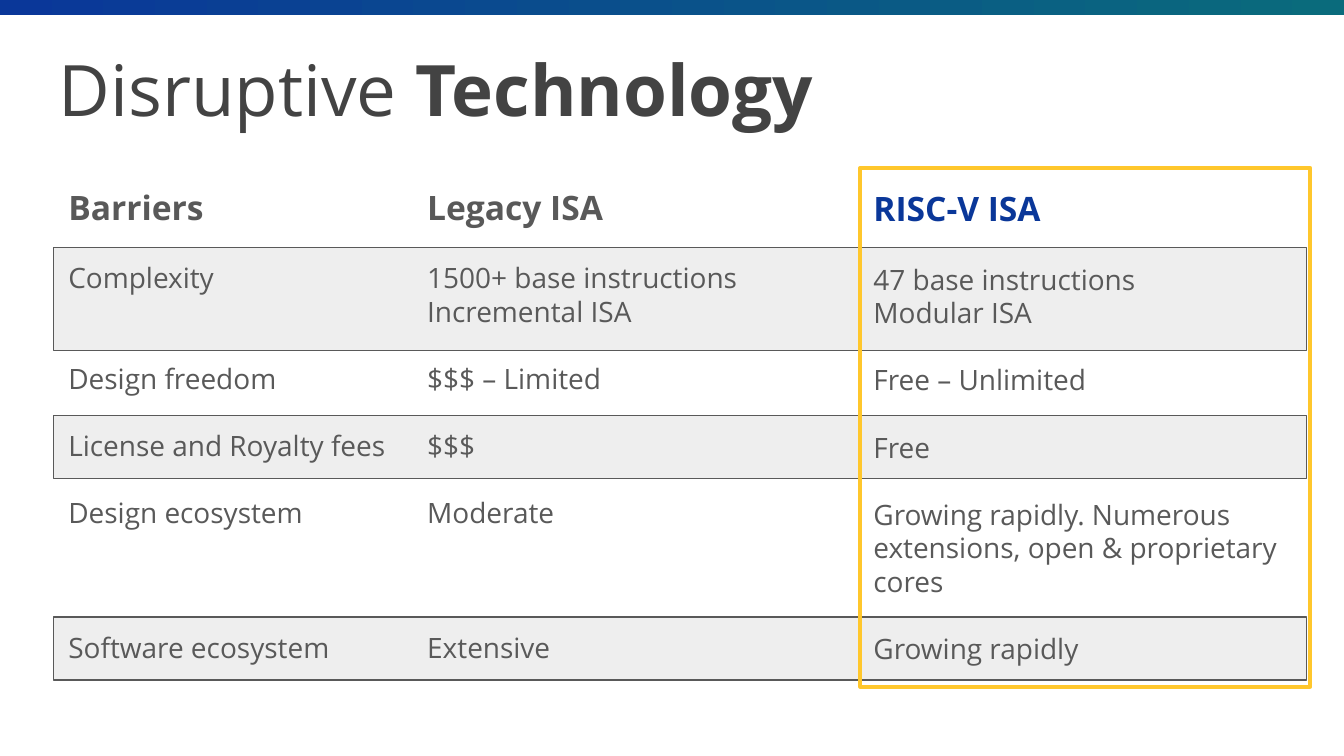
from pptx import Presentation
from pptx import util as u
from pptx.dml.color import RGBColor
from pptx.enum import shapes, text

FONT = "Open Sans"
GREY = RGBColor(0x59, 0x59, 0x59)
DARK = RGBColor(0x43, 0x43, 0x43)
BAND = RGBColor(0xEE, 0xEE, 0xEE)
BLUE = RGBColor(0x0A, 0x37, 0x99)
TEAL = RGBColor(0x0A, 0x6B, 0x7C)
GOLD = RGBColor(0xFF, 0xC7, 0x2C)

WIDTH = 10
LINE_PT = 18      # height of one body line
ROW_LINES = [2, 1, 1, 3, 1]
BANDS = [(4.59, 0.47), (3.09, 0.47), (1.84, 0.77)]  # top, height

# left, top, width, height, header colour, header, cells with their line counts
COLUMNS = [
    (0.41, 1.29, 2.95, 3.64, GREY, "Barriers",
     [("Complexity", 1), ("Design freedom", 1), ("License and Royalty fees", 1),
      ("Design ecosystem", 1), ("Software ecosystem", 1)]),
    (3.08, 1.29, 2.95, 3.64, GREY, "Legacy ISA",
     [("1500+ base instructions\nIncremental ISA", 2), ("$$$ – Limited", 1),
      ("$$$", 1), ("Moderate", 1), ("Extensive", 1)]),
    (6.4, 1.3, 3.35, 3.75, BLUE, "RISC-V ISA",
     [("47 base instructions\nModular ISA", 2), ("Free – Unlimited", 1),
      ("Free", 1),
      ("Growing rapidly. Numerous extensions, open & proprietary cores", 3),
      ("Growing rapidly", 1)]),
]


def add_rect(s, left, top, width, height, fill=None, line=None, weight=0.75):
    sp = s.shapes.add_shape(shapes.MSO_SHAPE.RECTANGLE, u.Inches(left),
                            u.Inches(top), u.Inches(width), u.Inches(height))
    sp.shadow.inherit = False
    if fill is None:
        sp.fill.background()
    else:
        sp.fill.solid()
        sp.fill.fore_color.rgb = fill
    if line is None:
        sp.line.fill.background()
    else:
        sp.line.color.rgb = line
        sp.line.width = u.Pt(weight)
    return sp


def add_box(s, left, top, width, height):
    sp = s.shapes.add_textbox(u.Inches(left), u.Inches(top),
                              u.Inches(width), u.Inches(height))
    tf = sp.text_frame
    tf.word_wrap = True
    tf.vertical_anchor = text.MSO_ANCHOR.TOP
    tf.margin_left = tf.margin_right = u.Inches(0.1)
    tf.margin_top = tf.margin_bottom = u.Inches(0.1)
    return tf


def add_text(p, content, size=15, color=GREY, bold=False):
    for i, part in enumerate(content.split("\n")):
        if i:
            p.add_line_break()
        r = p.add_run()
        r.text = part
        r.font.name = FONT
        r.font.size = u.Pt(size)
        r.font.bold = bold
        r.font.color.rgb = color


def add_top_bar(s):
    sp = add_rect(s, 0, 0, WIDTH, 0.11)
    sp.fill.gradient()
    sp.fill.gradient_angle = 0
    for stop, color in zip(sp.fill.gradient_stops, (BLUE, TEAL)):
        stop.color.rgb = color


def add_column(s, left, top, width, height, color, header, cells):
    tf = add_box(s, left, top, width, height)
    add_text(tf.paragraphs[0], header, size=18, color=color, bold=True)
    spare = 0  # lines the cell above leaves unused in its row
    for (cell, used), lines in zip(cells, ROW_LINES):
        p = tf.add_paragraph()
        p.space_before = u.Pt(LINE_PT * (1 + spare))
        add_text(p, cell)
        spare = lines - used


def main():
    prs = Presentation()
    prs.slide_width = u.Inches(WIDTH)
    prs.slide_height = prs.slide_width * 9 // 16
    s = prs.slides.add_slide(prs.slide_layouts[6])

    # Top bar and row bands
    add_top_bar(s)
    for top, height in BANDS:
        add_rect(s, 0.4, top, 9.32, height, fill=BAND, line=GREY)

    # Title
    p = add_box(s, 0.34, 0.24, 9.32, 0.82).paragraphs[0]
    add_text(p, "Disruptive ", size=38, color=DARK)
    add_text(p, "Technology", size=38, color=DARK, bold=True)

    # Highlight frame and text columns
    add_rect(s, 6.4, 1.25, 3.35, 3.86, line=GOLD, weight=2)
    for column in COLUMNS:
        add_column(s, *column)

    prs.save("out.pptx")


if __name__ == "__main__":
    main()
